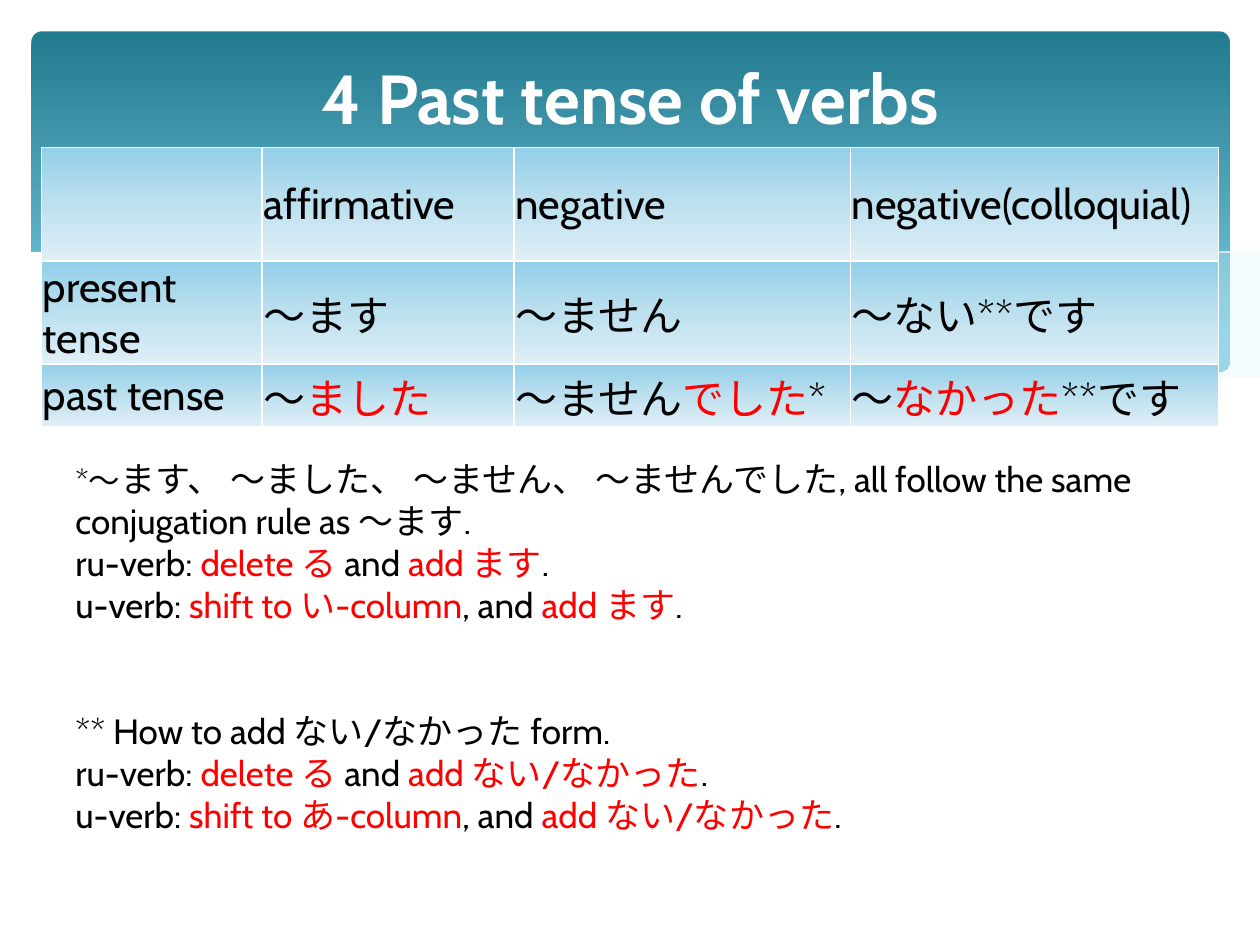
from typing import NamedTuple

import pptx
import pptx.dml.color
import pptx.enum.shapes
import pptx.enum.text
import pptx.oxml
import pptx.oxml.ns
import pptx.util

COLORS = {"ink": "000000", "red": "FF0000", "white": "FFFFFF", "foam": "DEF5FA"}
BANNER_STOPS = [(0, "227A8F"), (90, "7ACBE0")]
CELL_STOPS = [(0, "92CFE8"), (50, "BDE0EF"), (100, "DFEFF6")]
FONT = "Cabin"
W, H = 10, 7.5
MIDDLE = pptx.enum.text.MSO_ANCHOR.MIDDLE


class Box(NamedTuple):
    """Position and size in percent of the slide."""
    left: float
    top: float
    width: float
    height: float

    def emu(self) -> list:
        return [pptx.util.Inches(v * side / 100) for v, side in zip(self, (W, H, W, H))]


class Span(NamedTuple):
    text: str
    color: str = "ink"
    size: float = 0


class Wave(NamedTuple):
    """Outline in inches; filled with the given opacity, or a hairline if 0."""
    points: list
    color: str
    opacity: int


class Note(NamedTuple):
    box: Box
    lines: list


def rgb(name: str) -> pptx.dml.color.RGBColor:
    return pptx.dml.color.RGBColor.from_string(COLORS[name])


def add_xml(parent, xml: str) -> None:
    ns = pptx.oxml.ns.nsdecls("a")
    parent.append(pptx.oxml.parse_xml(xml.replace(" ", f" {ns} ", 1)))


def set_gradient(fill, parent, stops: list) -> None:
    fill.gradient()
    fill.gradient_angle = 270
    gs_list = parent.find(".//" + pptx.oxml.ns.qn("a:gsLst"))
    for gs in list(gs_list):
        gs_list.remove(gs)
    for pos, color in stops:
        add_xml(gs_list, f'<a:gs pos="{pos * 1000}"><a:srgbClr val="{color}"/></a:gs>')


def add_spans(p, spans: list, size: float, bold: bool = False) -> None:
    for span in spans:
        r = p.add_run()
        r.text = span.text
        r.font.name, r.font.bold = FONT, bold
        r.font.size = pptx.util.Pt(span.size or size)
        r.font.color.rgb = rgb(span.color)


def add_wave(s, wave: Wave) -> None:
    filled = wave.opacity > 0
    builder = s.shapes.build_freeform(*wave.points[0], scale=pptx.util.Inches(1))
    builder.add_line_segments(wave.points[1:], close=filled)
    sp = builder.convert_to_shape()
    sp.shadow.inherit = False
    if not filled:
        sp.fill.background()
        sp.line.color.rgb = rgb(wave.color)
        sp.line.width = pptx.util.Pt(0)
        return
    sp.line.fill.background()
    sp.fill.solid()
    sp.fill.fore_color.rgb = rgb(wave.color)
    if wave.opacity < 100:
        color = sp._element.spPr.find(".//" + pptx.oxml.ns.qn("a:srgbClr"))
        add_xml(color, f'<a:alpha val="{wave.opacity * 1000}"/>')


def add_note(s, note: Note) -> None:
    tf = s.shapes.add_textbox(*note.box.emu()).text_frame
    tf.word_wrap = True
    for i, spans in enumerate(note.lines):
        p = tf.add_paragraph() if i else tf.paragraphs[0]
        add_spans(p, spans, 20)


def format_cell(cell, spans: list) -> None:
    cell.vertical_anchor = MIDDLE
    cell.margin_left = cell.margin_right = cell.margin_top = pptx.util.Inches(0.01)
    cell.margin_bottom = 0
    tc_pr = cell._tc.get_or_add_tcPr()
    for side in "LRTB":
        add_xml(tc_pr, f'<a:ln{side} w="12700"><a:solidFill><a:srgbClr '
                       f'val="{COLORS["white"]}"/></a:solidFill></a:ln{side}>')
    set_gradient(cell.fill, tc_pr, CELL_STOPS)
    add_spans(cell.text_frame.paragraphs[0], spans, 24)


def verb_rules(column: str, ending: str) -> list:
    add = [Span("add " + ending, "red"), Span(".")]
    return [[Span("ru-verb: "), Span("delete る", "red"), Span(" and "), *add],
            [Span("u-verb: "), Span(f"shift to {column}-column", "red"), Span(", and "), *add]]


WAVES = [
    Wave([(9.76, 2), (9.48, 2.04), (9.21, 2.1), (8.61, 2.23), (8.05, 2.37), (7.53, 2.48),
          (7.06, 2.57), (6.61, 2.65), (7.05, 2.71), (7.45, 2.75), (7.92, 2.77), (8.35, 2.77),
          (8.72, 2.74), (9.05, 2.69), (9.35, 2.62), (9.63, 2.52), (9.76, 2.47)], "foam", 29),
    Wave([(8.93, 2.73), (8.37, 2.65), (7.75, 2.54), (7.06, 2.4), (6.29, 2.22), (5.84, 2.11),
          (5.41, 2.03), (4.89, 1.94), (4.42, 1.89), (3.99, 1.86), (3.61, 1.85), (3.28, 1.87),
          (2.86, 1.91), (3.42, 1.99), (4.04, 2.11), (4.49, 2.22), (5.3, 2.4), (6.01, 2.55),
          (6.65, 2.66), (7.22, 2.74), (7.73, 2.77), (8.18, 2.78), (8.57, 2.77)], "foam", 40),
    Wave([(3.09, 1.95), (3.44, 1.9), (3.87, 1.87), (4.33, 1.87), (4.89, 1.9), (5.56, 1.97),
          (6.36, 2.08), (6.95, 2.19), (7.6, 2.33), (8.31, 2.51), (9.07, 2.72)], "white", 0),
    Wave([(6.13, 2.57), (6.72, 2.41), (7.2, 2.29), (7.76, 2.16), (8.36, 2.04), (8.81, 1.96),
          (9.24, 1.9), (9.51, 1.87), (9.75, 1.85)], "white", 0),
    Wave([(9.77, 2.46), (9.5, 2.56), (9.2, 2.65), (8.87, 2.71), (8.5, 2.75), (8.09, 2.77),
          (7.61, 2.75), (7.08, 2.7), (6.48, 2.62), (5.79, 2.5), (5.03, 2.33), (4.47, 2.2),
          (3.91, 2.07), (3.4, 1.97), (2.92, 1.9), (2.5, 1.86), (2.11, 1.84), (1.77, 1.84),
          (1.46, 1.85), (1.19, 1.87), (0.95, 1.91), (0.67, 1.97), (0.46, 2.03), (0.23, 2.13),
          (0.23, 3.29), (9.77, 3.29)], "white", 100),
]
COLUMNS = [1.75, 2, 2.67, 2.92]
ROWS = [0.9, 0.65, 0.45]
CELLS = [
    [[], [Span("affirmative")], [Span("negative")], [Span("negative(colloquial)")]],
    [[Span("present tense")], [Span("～ます")], [Span("～ません")], [Span("～ない**です")]],
    [[Span("past tense")],
     [Span("～"), Span("ました", "red")],
     [Span("～ません"), Span("でした", "red"), Span("*")],
     [Span("～"), Span("なかった", "red"), Span("**です")]],
]
NOTES = [
    Note(Box(5, 74.4, 75, 14.8),
         [[Span("** How to add ない/なかった form.")], *verb_rules("あ", "ない/なかった")]),
    Note(Box(5, 47.73, 90, 19.33),
         [[Span("*～", size=18),
           Span("ます、 ～ました、 ～ません、 ～ませんでした, all follow the same "
                "conjugation rule as ～ます.")],
          *verb_rules("い", "ます")]),
]


def main() -> None:
    prs = pptx.Presentation()
    prs.slide_width, prs.slide_height = pptx.util.Inches(W), pptx.util.Inches(H)
    s = prs.slides.add_slide(prs.slide_layouts[5])

    # Banner with waves along its lower edge
    banner = s.shapes.add_shape(pptx.enum.shapes.MSO_SHAPE.ROUNDED_RECTANGLE,
                                *Box(2.5, 3.33, 95.1, 36).emu())
    banner.adjustments[0] = 0.03
    banner.shadow.inherit = False
    banner.line.fill.background()
    set_gradient(banner.fill, banner._element.spPr, BANNER_STOPS)
    for wave in WAVES:
        add_wave(s, wave)

    # Conjugation table
    frame = s.shapes.add_table(len(ROWS), len(COLUMNS), *Box(3.3, 15.6, 93.4, 26.67).emu())
    table = frame.table
    for column, width in zip(table.columns, COLUMNS):
        column.width = pptx.util.Inches(width)
    for i, height in enumerate(ROWS):
        table.rows[i].height = pptx.util.Inches(height)
        for j, spans in enumerate(CELLS[i]):
            format_cell(table.cell(i, j), spans)

    # Title, in front of the banner
    title = s.shapes.title
    title.left, title.top, title.width, title.height = Box(5, 4.93, 90, 10.67).emu()
    s.shapes.element.append(title._element)
    tf = title.text_frame
    tf.auto_size = pptx.enum.text.MSO_AUTO_SIZE.NONE
    tf.vertical_anchor = MIDDLE
    tf.paragraphs[0].alignment = pptx.enum.text.PP_ALIGN.CENTER
    add_spans(tf.paragraphs[0], [Span("4 Past tense of verbs", "white")], 39.6, bold=True)

    # Footnotes
    for note in NOTES:
        add_note(s, note)
    prs.save("out.pptx")


if __name__ == "__main__":
    main()
